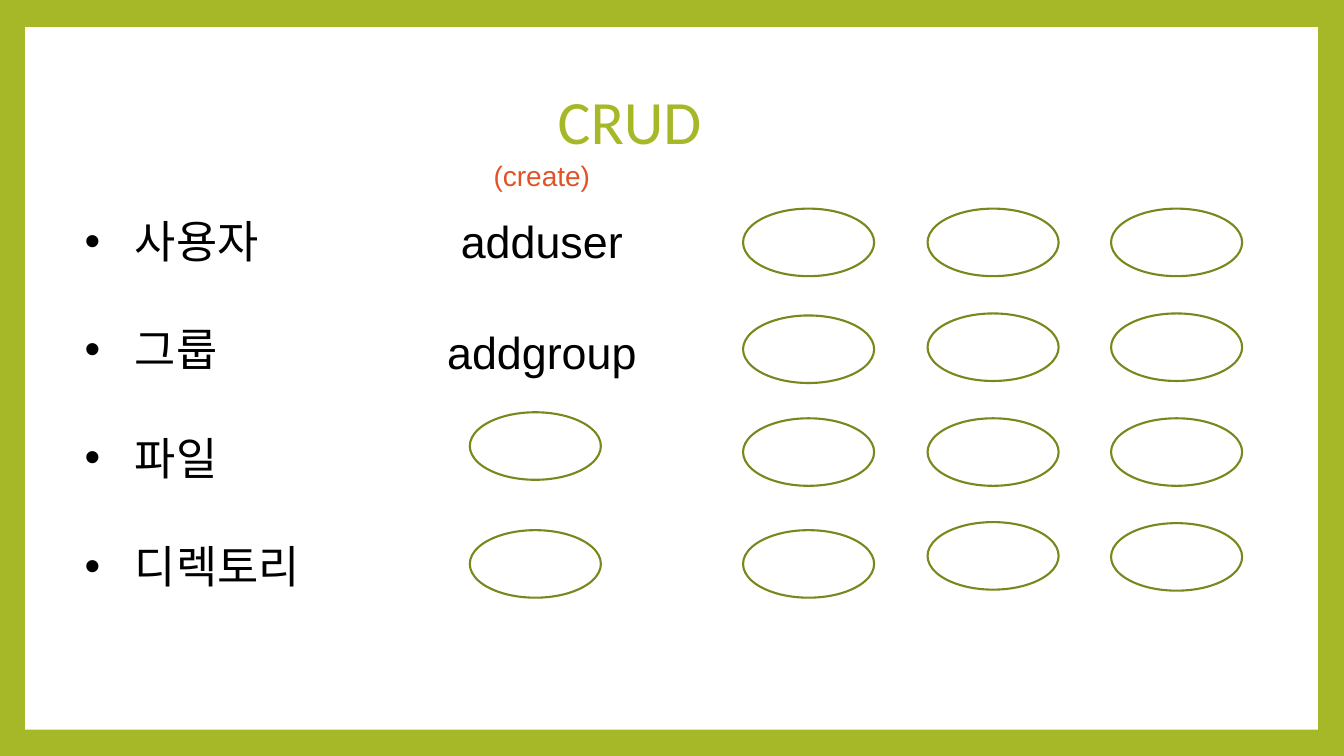
from dataclasses import dataclass

from lxml import etree
from pptx import Presentation
from pptx.dml.color import RGBColor
from pptx.enum import shapes, text
from pptx.oxml import ns
from pptx.slide import Slide
from pptx.util import Inches, Pt


@dataclass(frozen=True)
class Theme:
    green: str = "A6B727"
    olive: str = "7B871D"
    orange: str = "DF5327"
    white: str = "FFFFFF"
    black: str = "000000"
    head: int = 44
    body: int = 32
    note: int = 20
    stroke: float = 1.5


@dataclass(frozen=True)
class Label:
    lines: tuple[str, ...]
    left: float
    top: float
    width: float
    height: float
    size: int
    color: str
    font: str = "Arial"
    gap: float = 0
    scale: float = 1
    bullet: bool = False
    middle: bool = False


@dataclass(frozen=True)
class Column:
    left: float
    tops: tuple[float, ...]


THEME = Theme()

LABELS = (
    Label(("CRUD",), 5.12, 0.67, 2.25, 1.14, THEME.head, THEME.green,
          font="Calibri", scale=0.9, middle=True),
    Label(("사용자", "그룹", "파일", "디렉토리"), 0.74, 2.07, 2.74, 3.87,
          THEME.body, THEME.black, font="Calibri", gap=39, bullet=True),
    Label(("adduser", "addgroup"), 3.91, 2.07, 2.93, 1.72,
          THEME.body, THEME.black, gap=40.7),
    Label(("(create)",), 3.91, 1.52, 2.93, 0.44, THEME.note, THEME.orange),
)

COLUMNS = (
    Column(4.66, (4.09, 5.26)),
    Column(7.37, (2.07, 3.13, 4.15, 5.26)),
    Column(9.2, (2.07, 3.11, 4.15, 5.18)),
    Column(11.02, (2.07, 3.11, 4.15, 5.19)),
)


def tint(code: str) -> RGBColor:
    return RGBColor.from_string(code)


def add_bullet(para) -> None:
    props = para._p.get_or_add_pPr()
    props.set("marL", str(Inches(0.5)))
    props.set("indent", str(Inches(-0.5)))
    etree.SubElement(props, ns.qn("a:buFont")).set("typeface", "Arial")
    etree.SubElement(props, ns.qn("a:buChar")).set("char", "•")


def add_label(slide: Slide, label: Label) -> None:
    box = slide.shapes.add_textbox(Inches(label.left), Inches(label.top),
                                   Inches(label.width), Inches(label.height))
    frame = box.text_frame
    frame.word_wrap = True
    if label.middle:
        frame.vertical_anchor = text.MSO_ANCHOR.MIDDLE
    for index, line in enumerate(label.lines):
        para = frame.add_paragraph() if index else frame.paragraphs[0]
        para.text = line
        para.line_spacing = label.scale
        if index:
            para.space_before = Pt(label.gap)
        if label.bullet:
            add_bullet(para)
        else:
            para.alignment = text.PP_ALIGN.CENTER
        para.font.name = label.font
        para.font.size = Pt(label.size)
        para.font.color.rgb = tint(label.color)


def add_panel(slide: Slide) -> None:
    panel = slide.shapes.add_shape(shapes.MSO_SHAPE.RECTANGLE, Inches(0.25),
                                   Inches(0.27), Inches(12.82), Inches(6.97))
    panel.shadow.inherit = False
    panel.fill.solid()
    panel.fill.fore_color.rgb = tint(THEME.white)
    panel.line.fill.background()


def add_oval(slide: Slide, left: float, top: float) -> None:
    oval = slide.shapes.add_shape(shapes.MSO_SHAPE.OVAL, Inches(left),
                                  Inches(top), Inches(1.3), Inches(0.67))
    oval.shadow.inherit = False
    oval.fill.background()
    oval.line.color.rgb = tint(THEME.olive)
    oval.line.width = Pt(THEME.stroke)


def main() -> None:
    deck = Presentation()
    deck.slide_width = Inches(13.33)
    deck.slide_height = Inches(7.5)
    slide = deck.slides.add_slide(deck.slide_layouts[6])
    slide.background.fill.solid()
    slide.background.fill.fore_color.rgb = tint(THEME.green)
    add_panel(slide)
    for label in LABELS:
        add_label(slide, label)
    for column in COLUMNS:
        for top in column.tops:
            add_oval(slide, column.left, top)
    deck.save("out.pptx")


if __name__ == "__main__":
    main()
